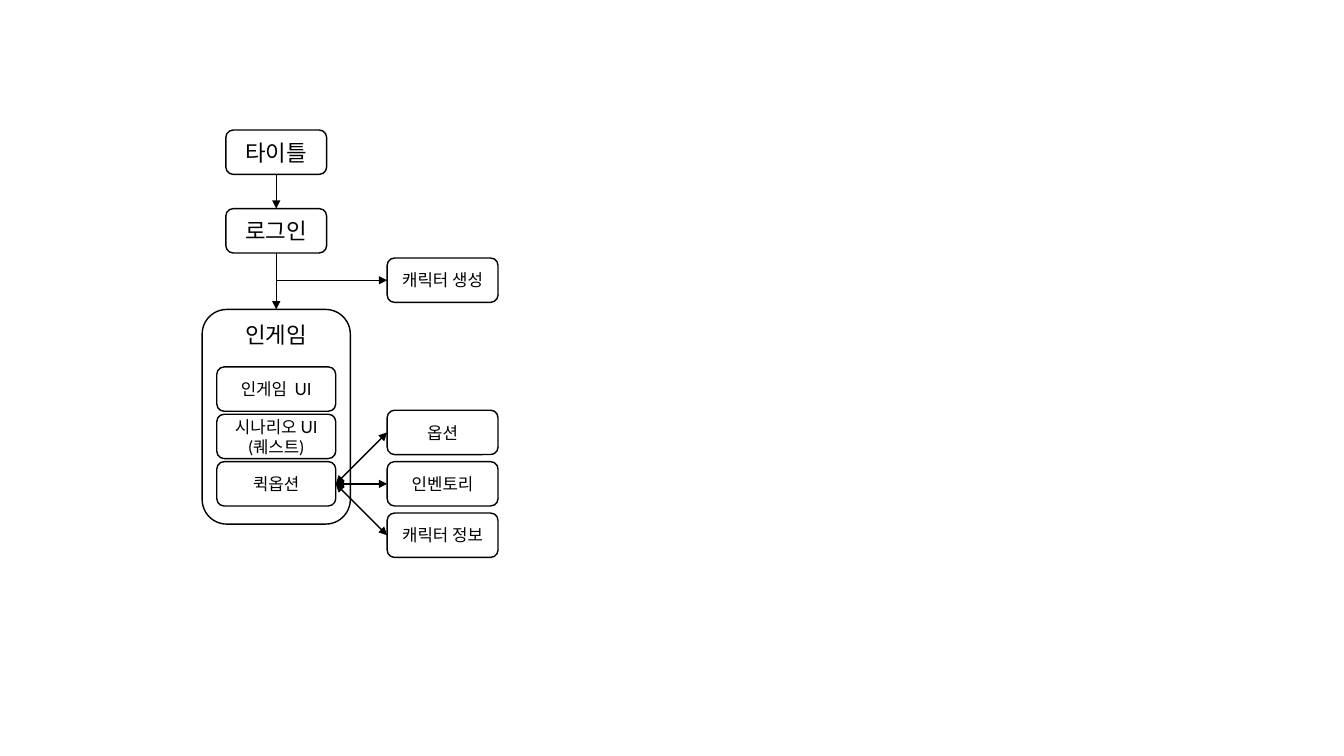
from dataclasses import dataclass

from lxml.etree import SubElement
from pptx import Presentation
from pptx.dml.color import RGBColor
from pptx.enum.shapes import MSO_CONNECTOR as Link, MSO_SHAPE as Shape
from pptx.enum.text import MSO_ANCHOR as Anchor, PP_ALIGN as Align
from pptx.oxml.ns import qn
from pptx.shapes.autoshape import Shape as AutoShape
from pptx.shapes.connector import Connector
from pptx.slide import Slide
from pptx.util import Inches, Pt


@dataclass(frozen=True)
class Theme:
    font: str = "Lato"
    ink: RGBColor = RGBColor(0, 0, 0)
    paper: RGBColor = RGBColor(255, 255, 255)
    large: int = 16
    small: int = 12
    stroke: int = 1


@dataclass(frozen=True)
class Column:
    center: float
    width: float


@dataclass(frozen=True)
class Rows:
    top: float
    pitch: float = 0

    def at(self, i: int) -> float:
        return self.top + i * self.pitch


@dataclass(frozen=True)
class Node:
    text: str
    column: Column
    top: float
    size: int
    height: float = 0.44
    anchor: Anchor = Anchor.MIDDLE


THEME = Theme()

# Grid, in inches
AXIS = 2.74
SCREEN, FRAME, PANEL = Column(AXIS, 1), Column(AXIS, 1.47), Column(AXIS, 1.18)
MENU = Column(4.39, 1.1)
SCREEN_ROWS, PANEL_ROWS, MENU_ROWS = Rows(1.29, 0.78), Rows(3.64, 0.47), Rows(4.07, 0.51)

# Connection sites of a box
TOP, LEFT, BOTTOM, RIGHT = range(4)


def add_node(s: Slide, node: Node) -> AutoShape:
    col = node.column
    sp = s.shapes.add_shape(
        Shape.FLOWCHART_ALTERNATE_PROCESS, Inches(col.center - col.width / 2),
        Inches(node.top), Inches(col.width), Inches(node.height))
    sp.shadow.inherit = False
    sp.fill.solid()
    sp.fill.fore_color.rgb = THEME.paper
    sp.line.color.rgb = THEME.ink
    sp.line.width = Pt(THEME.stroke)
    tf = sp.text_frame
    tf.word_wrap = True
    tf.vertical_anchor = node.anchor
    p = tf.paragraphs[0]
    p.text = node.text
    p.alignment = Align.CENTER
    p.font.name, p.font.size = THEME.font, Pt(node.size)
    p.font.color.rgb = THEME.ink
    return sp


def add_column(s: Slide, texts: list[str], column: Column, rows: Rows, size: int) -> list[AutoShape]:
    return [add_node(s, Node(text, column, rows.at(i), size)) for i, text in enumerate(texts)]


def add_arrow(s: Slide, start: AutoShape, start_site: int, end: AutoShape, end_site: int,
              both: bool = False) -> Connector:
    line = s.shapes.add_connector(Link.STRAIGHT, 0, 0, 0, 0)
    line.begin_connect(start, start_site)
    line.end_connect(end, end_site)
    style_arrow(line, both)
    return line


def style_arrow(line: Connector, both: bool = False) -> None:
    line.line.color.rgb = THEME.ink
    line.line.width = Pt(THEME.stroke)
    ln = line.line._get_or_add_ln()
    for end in ["headEnd", "tailEnd"] if both else ["tailEnd"]:
        SubElement(ln, qn(f"a:{end}"), type="triangle")
    SubElement(line._element.spPr, qn("a:effectLst"))


def main() -> None:
    prs = Presentation()
    prs.slide_width, prs.slide_height = Inches(13.33), Inches(7.5)
    s = prs.slides.add_slide(prs.slide_layouts[6])

    # Boxes
    title, login = add_column(s, ["타이틀", "로그인"], SCREEN, SCREEN_ROWS, THEME.large)
    game = add_node(s, Node("인게임", FRAME, 3.07, THEME.large, 2.13, Anchor.TOP))
    panels = add_column(s, ["인게임  UI", "시나리오 UI\n(퀘스트)", "퀵옵션"],
                        PANEL, PANEL_ROWS, THEME.small)
    menus = add_column(s, ["옵션", "인벤토리", "캐릭터 정보"], MENU, MENU_ROWS, THEME.small)
    creation = add_node(s, Node("캐릭터 생성", MENU, 2.56, THEME.small))

    # Main flow
    add_arrow(s, title, BOTTOM, login, TOP)
    add_arrow(s, login, BOTTOM, game, TOP)

    # Quick option to and from each menu
    for menu in menus:
        add_arrow(s, panels[-1], RIGHT, menu, LEFT, both=True)

    # Branch from the main flow to character creation
    branch_y = creation.top + creation.height // 2
    branch = s.shapes.add_connector(Link.STRAIGHT, Inches(AXIS), branch_y, creation.left, branch_y)
    branch.end_connect(creation, LEFT)
    style_arrow(branch)

    prs.save("out.pptx")


if __name__ == "__main__":
    main()
